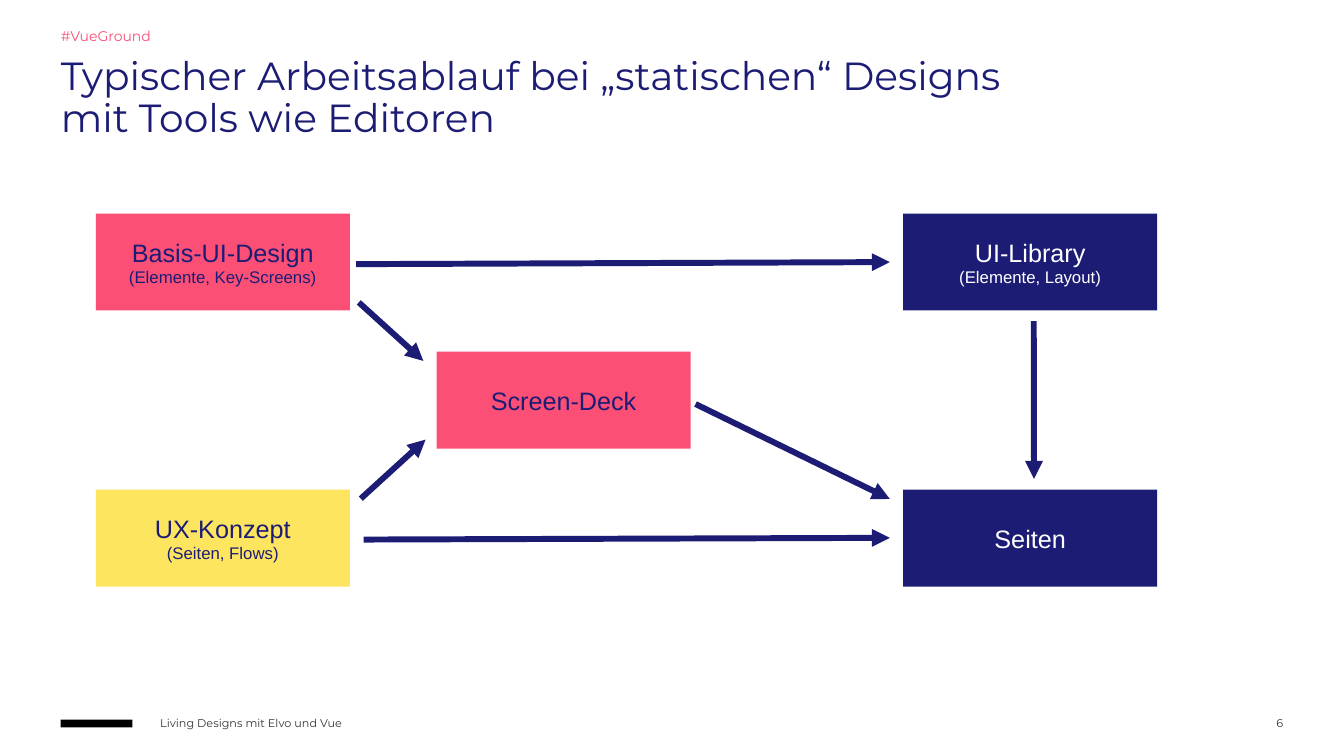
"""Builds a slide showing the typical workflow for static designs."""
import pptx
import pptx.dml.color
import pptx.enum.shapes
import pptx.enum.text
import pptx.oxml.ns
import pptx.util
from lxml import etree

Pt = pptx.util.Pt
RGB = pptx.dml.color.RGBColor.from_string
ALIGN = pptx.enum.text.PP_ALIGN
ANCHOR = pptx.enum.text.MSO_ANCHOR
RECT = pptx.enum.shapes.MSO_SHAPE.RECTANGLE
STRAIGHT = pptx.enum.shapes.MSO_CONNECTOR.STRAIGHT
qn = pptx.oxml.ns.qn

COLORS = {
    "navy": "1C1C75",
    "pink": "FB4F75",
    "yellow": "FEE560",
    "white": "FFFFFF",
    "grey": "353535",
    "black": "000000",
}

prs = pptx.Presentation()
prs.slide_width, prs.slide_height = Pt(960), Pt(540)
s = prs.slides.add_slide(prs.slide_layouts[6])


def style(p, size, font, color, align):
    p.font.size = Pt(size)
    p.font.name = font
    p.font.color.rgb = RGB(COLORS[color])
    p.alignment = align


def add_rect(x, y, w, h, color):
    sp = s.shapes.add_shape(RECT, Pt(x), Pt(y), Pt(w), Pt(h))
    sp.shadow.inherit = False
    sp.fill.solid()
    sp.fill.fore_color.rgb = RGB(COLORS[color])
    sp.line.fill.background()
    return sp


title = "Typischer Arbeitsablauf bei „statischen“ Designs\nmit Tools wie Editoren"
texts = [
    ("#VueGround", 43.4, 20.9, 260.6, 10.8, 10, "pink", ANCHOR.BOTTOM, ALIGN.LEFT, 1),
    (title, 43.4, 40.3, 872.6, 56.2, 28, "navy", ANCHOR.TOP, ALIGN.LEFT, 0.9),
    ("Living Designs mit Elvo und Vue", 114.5, 511.2, 578.2, 10.8, 8, "grey", ANCHOR.MIDDLE, ALIGN.LEFT, 1),
    ("6", 888.5, 511.2, 28.1, 10.8, 8, "grey", ANCHOR.MIDDLE, ALIGN.RIGHT, 1),
]
for text, x, y, w, h, size, color, anchor, align, spacing in texts:
    tf = s.shapes.add_textbox(Pt(x), Pt(y), Pt(w), Pt(h)).text_frame
    tf.margin_left = tf.margin_top = tf.margin_right = tf.margin_bottom = 0
    tf.word_wrap = True
    tf.vertical_anchor = anchor
    p = tf.paragraphs[0]
    p.text = text
    p.line_spacing = spacing
    style(p, size, "Montserrat", color, align)

add_rect(43.4, 514, 51.2, 5.6, "black")

BOX_W, BOX_H = 181.5, 69.2
COLUMNS = [68.4, 311.8, 645.1]
ROWS = [152.6 + 98.6 * row for row in range(3)]
boxes = [
    (0, 0, "pink", "navy", ["Basis-UI-Design", "(Elemente, Key-Screens)"]),
    (0, 2, "yellow", "navy", ["UX-Konzept", "(Seiten, Flows)"]),
    (2, 0, "navy", "white", ["UI-Library", "(Elemente, Layout)"]),
    (2, 2, "navy", "white", ["Seiten"]),
    (1, 1, "pink", "navy", ["Screen-Deck"]),
]
for col, row, fill, color, lines in boxes:
    tf = add_rect(COLUMNS[col], ROWS[row], BOX_W, BOX_H, fill).text_frame
    tf.word_wrap = False
    tf.vertical_anchor = ANCHOR.MIDDLE
    for i, (line, size) in enumerate(zip(lines, (18, 12))):
        p = tf.add_paragraph() if i else tf.paragraphs[0]
        p.text = line
        style(p, size, "Arial", color, ALIGN.CENTER)

arrows = [
    (254.4, 188.7, 635.6, 187.2),
    (257.7, 356.2, 304, 314),
    (259.8, 385.4, 635.6, 384.2),
    (256.3, 216, 302.4, 257.8),
    (496.8, 288.6, 635.6, 356.4),
    (738.4, 229.4, 738.6, 342),
]
for x1, y1, x2, y2 in arrows:
    arrow = s.shapes.add_connector(STRAIGHT, Pt(x1), Pt(y1), Pt(x2), Pt(y2))
    arrow.line.width = Pt(4.25)
    arrow.line.color.rgb = RGB(COLORS["navy"])
    etree.SubElement(arrow.line._get_or_add_ln(), qn("a:tailEnd"), type="triangle")
    etree.SubElement(arrow._element.spPr, qn("a:effectLst"))

prs.save("out.pptx")
